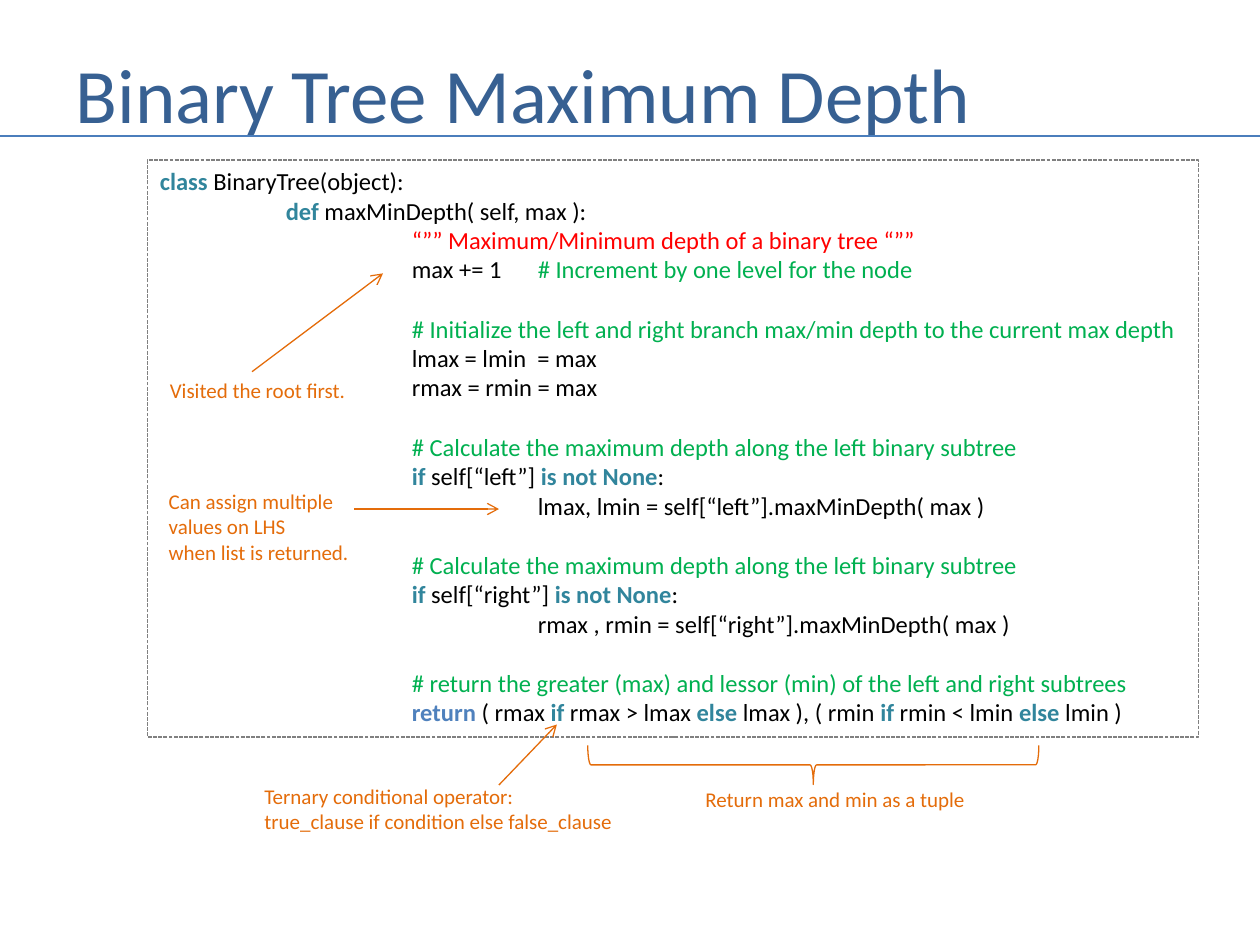
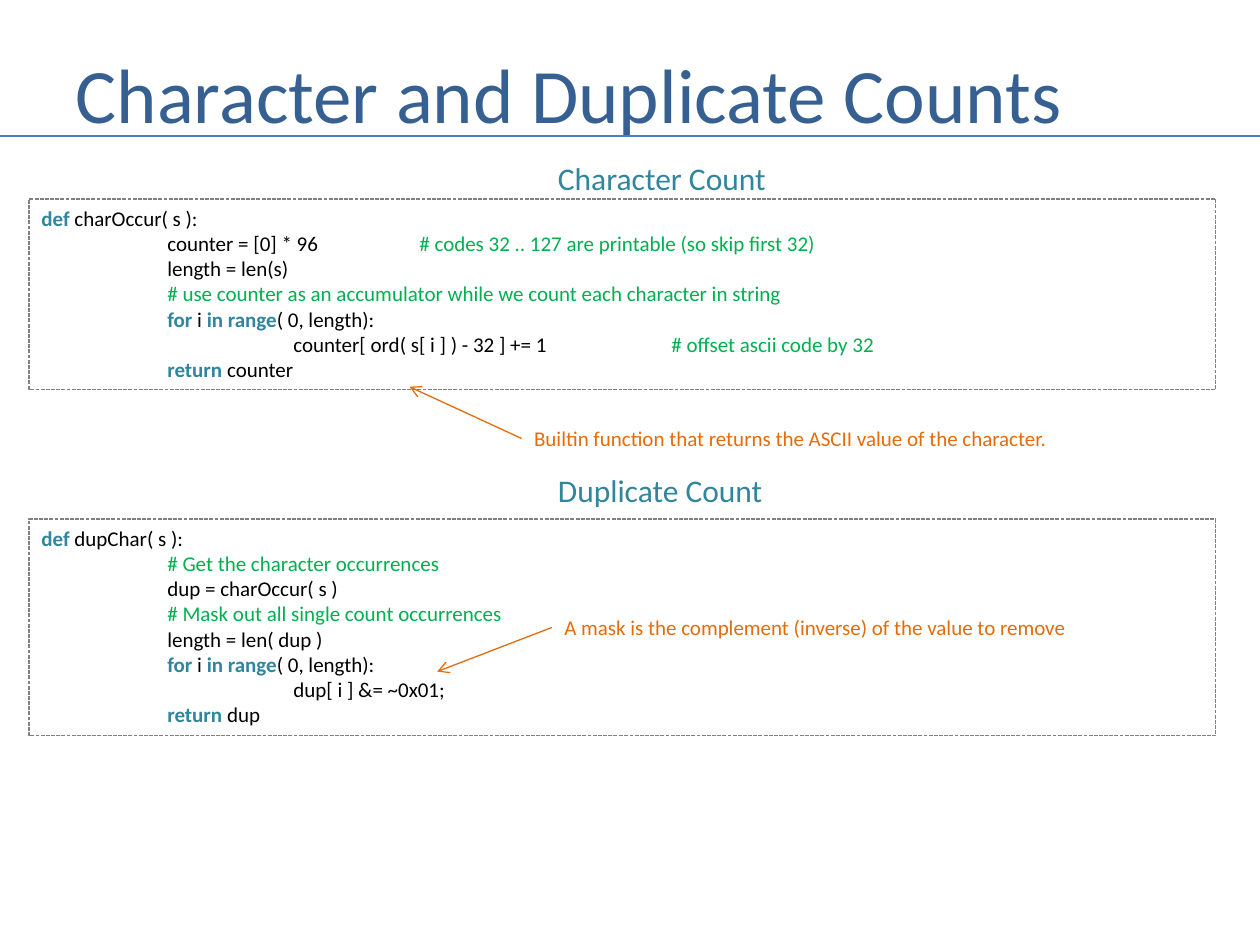
from dataclasses import dataclass
from typing import NamedTuple, Optional

from lxml import etree
from pptx import Presentation
from pptx import util as u
from pptx.dml import color as dml_color
from pptx.enum import dml, shapes, text
from pptx.oxml import ns

PX = 9144  # 100 px to the inch
FONT = "Calibri"
TITLE_BLUE, RULE_BLUE, RETURN_BLUE = "376092", "4B7EBC", "4F81BD"
TEAL, BLACK, GREEN, RED = "31859C", "000000", "00B050", "FF0000"
ORANGE, GREY = "E46C0A", "808080"
LEFT_SIDE = 1


class Span(NamedTuple):
    text: str
    color: str = BLACK
    bold: bool = False


class Area(NamedTuple):
    left: int
    top: int
    width: int
    height: int

    def emu(self) -> list[int]:
        return [px(length) for length in self]


class Arrow(NamedTuple):
    start: tuple[int, int]
    end: tuple[int, int]


@dataclass
class Note:
    area: Area
    lines: list[str]
    arrow: Optional[Arrow] = None
    joined: bool = False  # the arrow starts at the middle of the left side


@dataclass
class Listing:
    area: Area
    size: int
    lines: list[list[Span]]  # an empty line opens a one-line gap
    heading: str = ""
    heading_top: int = 0


def px(length: int) -> int:
    return length * PX


def rgb(value: str) -> dml_color.RGBColor:
    return dml_color.RGBColor.from_string(value)


def keyword(words: str) -> Span:
    return Span(words, TEAL, True)


def comment(words: str) -> Span:
    return Span(words, GREEN)


# Text and lines
def add_span(para, span: Span, size: int) -> None:
    run = para.add_run()
    run.text = span.text
    font = run.font
    font.name, font.size, font.bold = FONT, u.Pt(size), span.bold
    font.color.rgb = rgb(span.color)


def add_tab_stops(para, count: int = 7) -> None:
    """Put a tab stop at every inch."""
    stops = etree.SubElement(para._p.get_or_add_pPr(), ns.qn("a:tabLst"))
    for inch in range(1, count + 1):
        etree.SubElement(stops, ns.qn("a:tab"), pos=str(px(100 * inch)), algn="l")


def write_lines(frame, lines: list[list[Span]], size: int) -> None:
    frame.word_wrap = True
    frame.vertical_anchor = text.MSO_ANCHOR.TOP
    para, gap = None, False
    for line in lines:
        if not line:
            gap = True
            continue
        para = frame.add_paragraph() if para else frame.paragraphs[0]
        para.alignment = text.PP_ALIGN.LEFT
        if gap:
            para.space_before = u.Pt(round(size * 1.22))
            gap = False
        if any("\t" in span.text for span in line):
            add_tab_stops(para)
        for span in line:
            add_span(para, span, size)


def add_text(slide, area: Area, lines: list[str], color: str, size: int):
    box = slide.shapes.add_textbox(*area.emu())
    write_lines(box.text_frame, [[Span(line, color)] for line in lines], size)
    return box


def add_line(slide, start: tuple[int, int], end: tuple[int, int], color: str,
             width: float, arrow: bool = False):
    line = slide.shapes.add_connector(
        shapes.MSO_CONNECTOR.STRAIGHT, *map(px, start + end))
    line.line.color.rgb = rgb(color)
    line.line.width = u.Pt(width)
    if arrow:
        etree.SubElement(line.line._get_or_add_ln(), ns.qn("a:tailEnd"), type="arrow")
    etree.SubElement(line._element.spPr, ns.qn("a:effectLst"))
    return line


def add_outline(slide, kind, area: Area, color: str):
    shape = slide.shapes.add_shape(kind, *area.emu())
    shape.shadow.inherit = False
    shape.fill.background()
    shape.line.color.rgb = rgb(color)
    shape.line.width = u.Pt(0.75)
    return shape


# Parts of a page
def add_page(deck, title: str):
    page = deck.slides.add_slide(deck.slide_layouts.get_by_name("Title Only"))
    box = page.shapes.title
    box.left, box.top, box.width, box.height = Area(50, 30, 908, 87).emu()
    write_lines(box.text_frame, [[Span(title, TITLE_BLUE)]], 44)
    box.text_frame.vertical_anchor = text.MSO_ANCHOR.MIDDLE
    box.text_frame.auto_size = text.MSO_AUTO_SIZE.NONE
    add_line(page, (0, 108), (1000, 108), RULE_BLUE, 1.5)
    return page


def add_listing(page, listing: Listing) -> None:
    box = add_outline(page, shapes.MSO_SHAPE.RECTANGLE, listing.area, GREY)
    box.line.dash_style = dml.MSO_LINE.SQUARE_DOT
    write_lines(box.text_frame, listing.lines, listing.size)
    if listing.heading:
        add_text(page, Area(433, listing.heading_top, 190, 40),
                 [listing.heading], TEAL, 18)


def add_note(page, note: Note) -> None:
    box = add_text(page, note.area, note.lines, ORANGE, 12)
    if note.arrow:
        line = add_line(page, note.arrow.start, note.arrow.end, ORANGE, 0.75, True)
        if note.joined:
            line.begin_connect(box, LEFT_SIDE)


# Code that repeats within the listings
def branch(side: str, call: str) -> list[list[Span]]:
    return [
        [comment("\t\t# Calculate the maximum depth along the left binary subtree")],
        [Span("\t\t"), keyword("if"), Span(f" self[“{side}”] "),
         keyword("is not None"), Span(":")],
        [Span(f"\t\t\t{call} = self[“{side}”].maxMinDepth( max )")],
        [],
    ]


def choice(before: str, compare: str, after: str) -> list[Span]:
    return [Span(before), keyword("if "), Span(compare), keyword("else "), Span(after)]


def definition(name: str) -> list[Span]:
    return [keyword("def "), Span(f"{name}( s ):")]


def returned(name: str) -> list[Span]:
    return [Span("\t"), keyword("return"), Span(f" {name}")]


LOOP = [Span("\t"), keyword("for "), Span("i "), keyword("in range"),
        Span("( 0, length):")]

DEPTH = Listing(Area(117, 127, 834, 458), 14, [
    [keyword("class "), Span("BinaryTree(object):")],
    [Span("\t"), keyword("def "), Span("maxMinDepth( self, max ):")],
    [Span("\t\t“”” Maximum/Minimum depth of a binary tree “””", RED)],
    [Span("\t\tmax += 1\t"), comment("# Increment by one level for the node")],
    [],
    [comment("\t\t# Initialize the left and right branch max/min depth "
             "to the current max depth")],
    [Span("\t\tlmax = lmin  = max")],
    [Span("\t\trmax = rmin = max")],
    [],
    *branch("left", "lmax, lmin"),
    *branch("right", "rmax , rmin"),
    [comment("\t\t# return the greater (max) and lessor (min) "
             "of the left and right subtrees")],
    [Span("\t\t"), Span("return", RETURN_BLUE, True),
     *choice(" ( rmax ", "rmax > lmax ", "lmax ), "),
     *choice("( rmin ", "rmin < lmin ", "lmin )")],
])

DEPTH_NOTES = [
    Note(Area(200, 617, 458, 50),
         ["Ternary conditional operator:", "true_clause if condition else false_clause"],
         Arrow((396, 623), (442, 575))),
    Note(Area(125, 295, 167, 30), ["Visited the root first."],
         Arrow((200, 295), (304, 217))),
    Note(Area(550, 619, 242, 30), ["Return max and min as a tuple"]),
    Note(Area(124, 383, 217, 71),
         ["Can assign multiple", "values on LHS", "when list is returned."],
         Arrow((281, 404), (396, 404))),
]

COUNTS = [
    Listing(Area(23, 158, 942, 151), 12, [
        definition("charOccur"),
        [Span("\tcounter = [0] * 96\t"),
         comment("# codes 32 .. 127 are printable (so skip first 32)")],
        [Span("\tlength = len(s)")],
        [comment("\t# use counter as an accumulator while we count "
                 "each character in string")],
        LOOP,
        [Span("\t\tcounter[ ord( s[ i ] ) - 32 ] += 1\t"),
         comment("# offset ascii code by 32")],
        returned("counter"),
    ], "Character Count", 121),
    Listing(Area(23, 412, 942, 172), 12, [
        definition("dupChar"),
        [comment("\t# Get the character occurrences")],
        [Span("\tdup = charOccur( s )")],
        [comment("\t# Mask out all single count occurrences")],
        [Span("\tlength = len( dup )")],
        LOOP,
        [Span("\t\tdup[ i ] &= ~0x01;")],
        returned("dup"),
    ], "Duplicate Count", 369),
]

COUNT_NOTES = [
    Note(Area(414, 333, 451, 30),
         ["Builtin function that returns the ASCII value of the character."],
         Arrow((414, 348), (325, 307)), joined=True),
    Note(Area(438, 483, 451, 30),
         ["A mask is the complement (inverse) of the value to remove"],
         Arrow((438, 498), (347, 533)), joined=True),
]


def main() -> None:
    deck = Presentation()
    deck.slide_width, deck.slide_height = px(1000), px(750)

    # Maximum depth, with a brace under the returned tuple
    page = add_page(deck, "Binary Tree Maximum Depth")
    add_listing(page, DEPTH)
    for note in DEPTH_NOTES:
        add_note(page, note)
    brace = add_outline(page, shapes.MSO_SHAPE.LEFT_BRACE,
                        Area(630, 428, 31, 358), ORANGE)
    brace.rotation = 270

    # Character and duplicate counts
    page = add_page(deck, "Character and Duplicate Counts")
    for listing in COUNTS:
        add_listing(page, listing)
    for note in COUNT_NOTES:
        add_note(page, note)

    deck.save("out.pptx")


if __name__ == "__main__":
    main()
